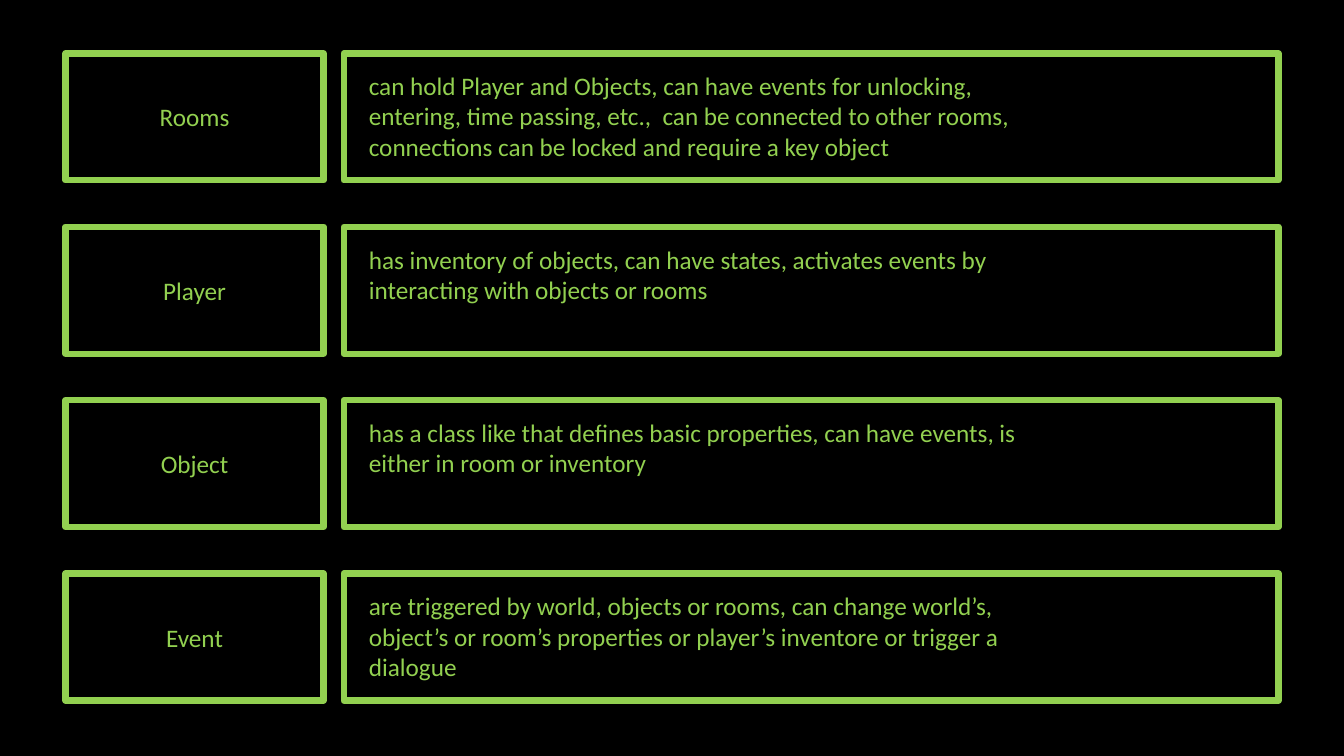
import pptx
import pptx.dml.color
import pptx.enum.shapes
import pptx.enum.text
import pptx.util

Inches = pptx.util.Inches
Pt = pptx.util.Pt
COLORS = {"background": "000000", "green": "92D050"}
FONT = "Calibri"
LABEL_WIDTH = 2.56
DETAIL_OFFSET = 2.76
DETAIL_WIDTH = 9.27
ROW_HEIGHT = 1.26
ROW_PITCH = 1.72

ROWS = [
    ("Rooms", "can hold Player and Objects, can have events for unlocking, entering, time passing, etc.,  can be connected to other rooms, connections can be locked and require a key object", 6.67, 1.01),
    ("Player", "has inventory of objects, can have states, activates events by interacting with objects or rooms", 6.67, 0.71),
    ("Object", "has a class like that defines basic properties, can have events, is either in room or inventory", 6.67, 0.71),
    ("Event", "are triggered by world, objects or rooms, can change world’s, object’s or room’s properties or player’s inventore or trigger a dialogue", 6.79, 1.01),
]


def rgb(name):
    return pptx.dml.color.RGBColor.from_string(COLORS[name])


def write(tf, text, align):
    tf.word_wrap = True
    p = tf.paragraphs[0]
    p.text = text
    p.alignment = align
    r = p.runs[0]
    r.font.name = FONT
    r.font.size = Pt(18)
    r.font.color.rgb = rgb("green")


def add_frame(s, left, top, width, height):
    sp = s.shapes.add_shape(
        pptx.enum.shapes.MSO_SHAPE.RECTANGLE,
        Inches(left), Inches(top), Inches(width), Inches(height))
    sp.shadow.inherit = False
    sp.fill.background()
    sp.line.color.rgb = rgb("green")
    sp.line.width = Pt(4.5)
    return sp


def add_label(s, left, top, width, height, text):
    tf = add_frame(s, left, top, width, height).text_frame
    tf.vertical_anchor = pptx.enum.text.MSO_ANCHOR.MIDDLE
    write(tf, text, pptx.enum.text.PP_ALIGN.CENTER)


def add_detail(s, left, top, width, height, text, text_width, text_height):
    add_frame(s, left, top, width, height)
    box = s.shapes.add_textbox(
        Inches(left + 0.15), Inches(top + 0.12), Inches(text_width), Inches(text_height))
    tf = box.text_frame
    tf.auto_size = pptx.enum.text.MSO_AUTO_SIZE.SHAPE_TO_FIT_TEXT
    write(tf, text, pptx.enum.text.PP_ALIGN.LEFT)


def add_definitions(s, left, top):
    for i, (label, detail, text_width, text_height) in enumerate(ROWS):
        y = top + i * ROW_PITCH
        add_label(s, left, y, LABEL_WIDTH, ROW_HEIGHT, label)
        add_detail(s, left + DETAIL_OFFSET, y, DETAIL_WIDTH, ROW_HEIGHT,
                   detail, text_width, text_height)


def main():
    prs = pptx.Presentation()
    prs.slide_width = Inches(13.33)
    prs.slide_height = Inches(7.5)
    s = prs.slides.add_slide(prs.slide_layouts[6])
    s.background.fill.solid()
    s.background.fill.fore_color.rgb = rgb("background")
    add_definitions(s, 0.65, 0.53)
    prs.save("out.pptx")


if __name__ == "__main__":
    main()
